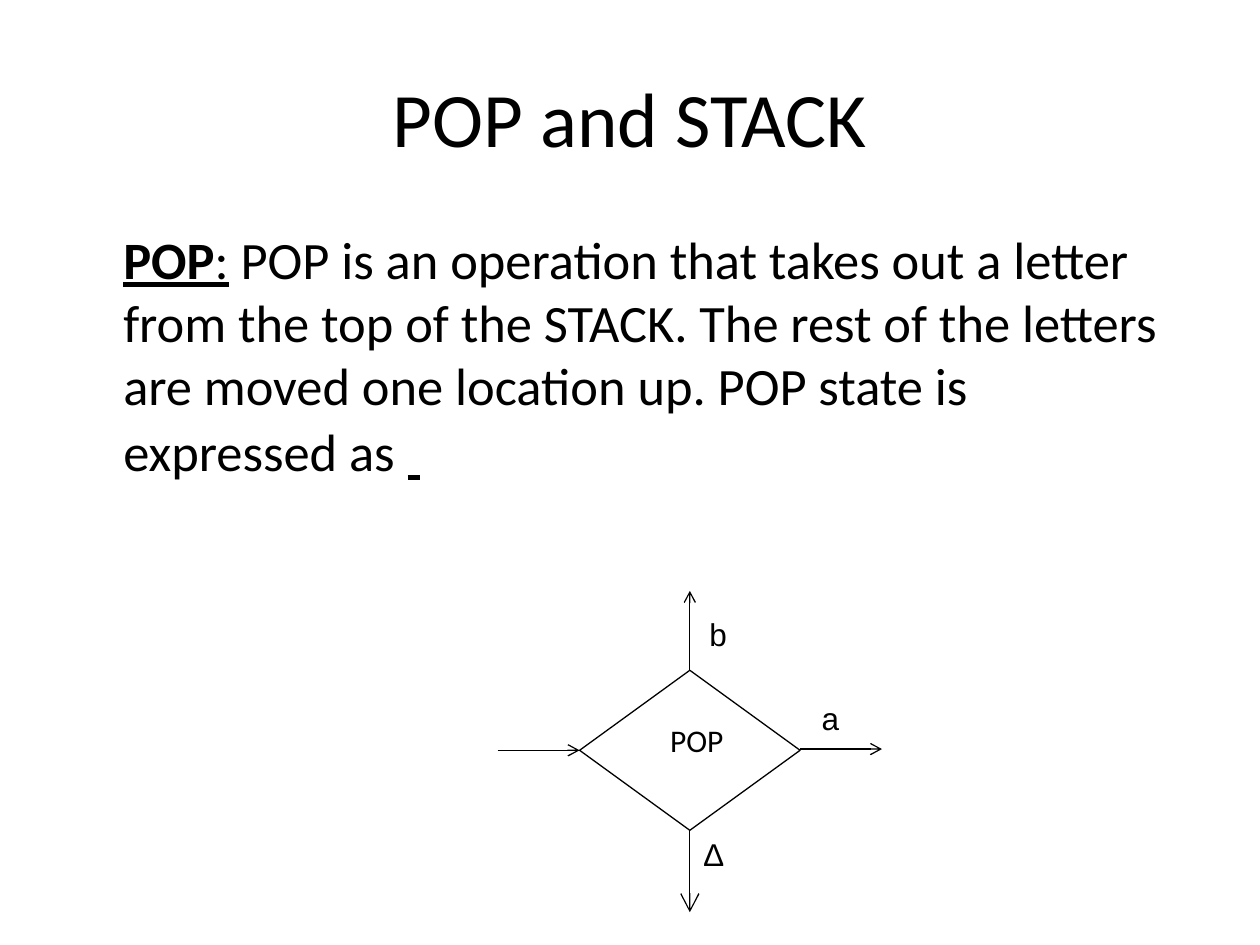
from dataclasses import dataclass

import pptx
import pptx.dml.color
import pptx.enum.shapes
import pptx.enum.text
import pptx.oxml
import pptx.oxml.ns
import pptx.util
from pptx.util import Inches

ALIGN = pptx.enum.text.PP_ALIGN
ANCHOR = pptx.enum.text.MSO_ANCHOR


@dataclass(frozen=True)
class Theme:
    ink: pptx.dml.color.RGBColor = pptx.dml.color.RGBColor(0, 0, 0)
    text_font: str = "Calibri"
    label_font: str = "Arial"
    title_size: int = 44
    body_size: int = 30
    space_size: int = 32
    label_size: int = 18
    line_width: float = 0.75


THEME = Theme()


def add_run(paragraph, text, size, font=THEME.text_font, bold=False, underline=False):
    run = paragraph.add_run()
    run.text = text
    run.font.name = font
    run.font.size = pptx.util.Pt(size)
    run.font.bold = bold
    run.font.underline = underline
    run.font.color.rgb = THEME.ink


def add_text_box(slide, left, top, width, height, align=ALIGN.CENTER, anchor=ANCHOR.TOP):
    """Add an empty wrapping text box and return its first paragraph."""
    box = slide.shapes.add_textbox(Inches(left), Inches(top), Inches(width), Inches(height))
    frame = box.text_frame
    frame.word_wrap = True
    frame.vertical_anchor = anchor
    paragraph = frame.paragraphs[0]
    paragraph.alignment = align
    return paragraph


def add_arrow(slide, start, end, head_size="med"):
    arrow = slide.shapes.add_connector(
        pptx.enum.shapes.MSO_CONNECTOR.STRAIGHT, *map(Inches, (*start, *end)))
    arrow.line.color.rgb = THEME.ink
    arrow.line.width = pptx.util.Pt(THEME.line_width)
    namespace = pptx.oxml.ns.nsdecls("a")
    arrow.line._get_or_add_ln().append(pptx.oxml.parse_xml(
        f'<a:tailEnd {namespace} type="arrow" w="{head_size}" len="{head_size}"/>'))
    arrow._element.spPr.append(pptx.oxml.parse_xml(f"<a:effectLst {namespace}/>"))


def add_title(slide, left, top, width, height):
    paragraph = add_text_box(slide, left, top, width, height, anchor=ANCHOR.MIDDLE)
    add_run(paragraph, "POP and STACK", THEME.title_size)


def add_definition(slide, left, top, width, height):
    indent = 0.38
    paragraph = add_text_box(slide, left + indent, top, width - indent, height, ALIGN.LEFT)
    add_run(paragraph, "POP", THEME.body_size, bold=True, underline=True)
    add_run(paragraph, ":", THEME.body_size, underline=True)
    add_run(paragraph, " POP is an operation that takes out a letter from the top of the "
            "STACK. The rest of the letters are moved one location up. POP state is "
            "expressed as", THEME.body_size)
    add_run(paragraph, " ", THEME.space_size)
    add_run(paragraph, " ", THEME.space_size, underline=True)


def add_pop_state(slide, left, top, width, height):
    """Draw the decision diamond in the given box, with arrows and labels around it."""
    diamond = slide.shapes.add_shape(
        pptx.enum.shapes.MSO_SHAPE.FLOWCHART_DECISION,
        Inches(left), Inches(top), Inches(width), Inches(height))
    diamond.shadow.inherit = False
    diamond.fill.background()
    diamond.line.color.rgb = THEME.ink
    diamond.line.width = pptx.util.Pt(THEME.line_width)

    center, middle = left + width / 2, top + height / 2
    right, bottom = left + width, top + height
    name = add_text_box(slide, left + 0.52, top + 0.35, 0.82, 0.5)
    add_run(name, "POP", THEME.label_size)

    reach = 0.65
    add_arrow(slide, (left - reach, middle), (left, middle))
    add_arrow(slide, (right, middle - 0.01), (right + reach, middle - 0.01))
    add_arrow(slide, (center, top), (center, top - reach + 0.02))
    add_arrow(slide, (center, bottom), (center, bottom + reach), head_size="lg")

    labels = (("b", center - 0.15, top - 0.49),
              ("a ", right - 0.1, top + 0.18),
              ("∆ ", center - 0.15, bottom - 0.01))
    for letter, label_left, label_top in labels:
        label = add_text_box(slide, label_left, label_top, 0.75, 0.5)
        add_run(label, letter, THEME.label_size, THEME.label_font)


def main():
    presentation = pptx.Presentation()
    presentation.slide_width = Inches(10)
    presentation.slide_height = Inches(7.5)
    slide = presentation.slides.add_slide(presentation.slide_layouts[6])
    add_title(slide, 0.5, 0.3, 9, 1.25)
    add_definition(slide, 0.5, 1.75, 9, 4.95)
    add_pop_state(slide, 4.6, 5.32, 1.75, 1.27)
    presentation.save("out.pptx")


if __name__ == "__main__":
    main()
